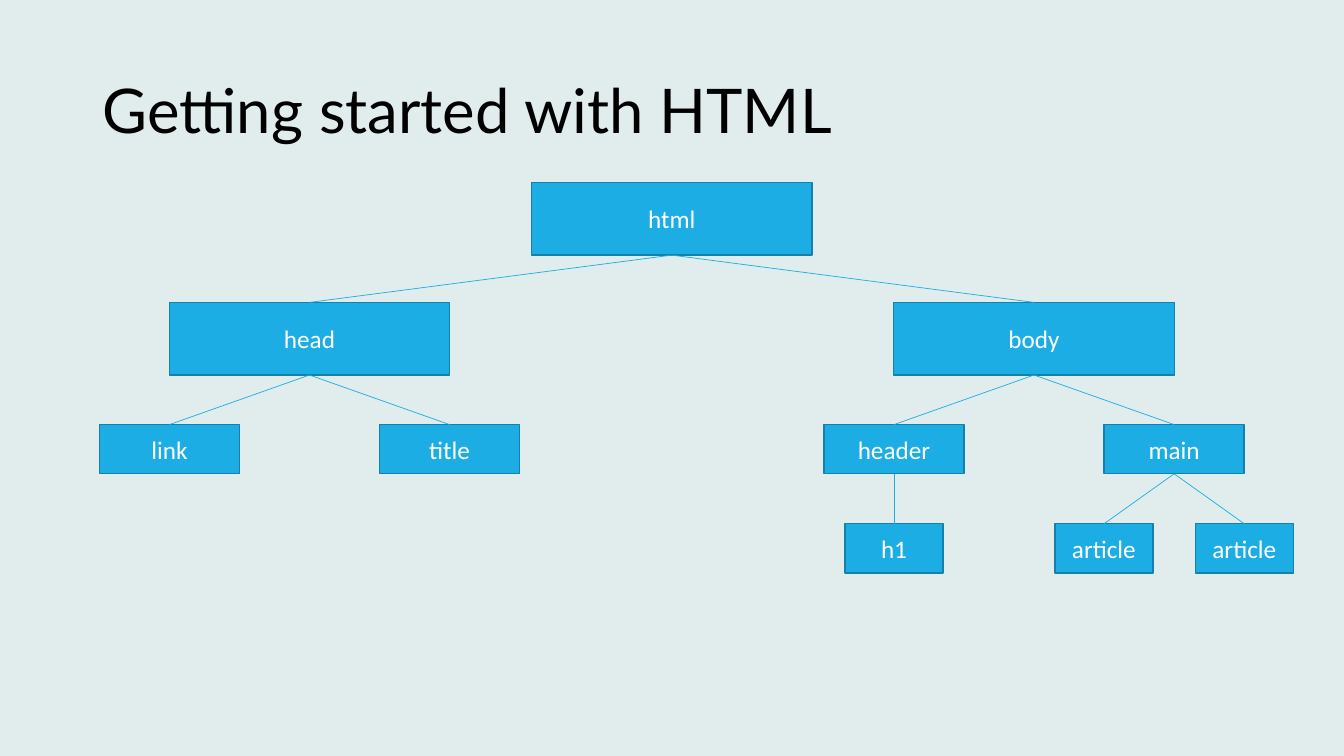
from dataclasses import dataclass

from lxml import etree
from pptx import Presentation
from pptx.dml.color import RGBColor
from pptx.enum.shapes import MSO_CONNECTOR, MSO_SHAPE
from pptx.enum.text import MSO_ANCHOR, MSO_AUTO_SIZE, PP_ALIGN
from pptx.oxml.ns import qn
from pptx.util import Cm, Pt

RECTANGLE = MSO_SHAPE.RECTANGLE
STRAIGHT = MSO_CONNECTOR.STRAIGHT
MIDDLE = MSO_ANCHOR.MIDDLE
NO_AUTOFIT = MSO_AUTO_SIZE.NONE
LEFT, CENTER = PP_ALIGN.LEFT, PP_ALIGN.CENTER
BOTTOM_SIDE, TOP_SIDE = 2, 0
TITLE_ONLY = 5


@dataclass(frozen=True)
class Theme:
    background: RGBColor = RGBColor.from_string("E0EDEC")
    ink: RGBColor = RGBColor.from_string("000000")
    accent: RGBColor = RGBColor.from_string("1CADE4")
    outline: RGBColor = RGBColor.from_string("1580A9")
    on_accent: RGBColor = RGBColor.from_string("FFFFFF")
    title_font: str = "Lato"
    node_font: str = "Calibri"
    title_size: Pt = Pt(44)
    node_size: Pt = Pt(18)
    outline_width: Pt = Pt(1)
    branch_width: Pt = Pt(0.5)


# Each tree level: top, width, height in cm
LEVELS = [
    (4.6, 7.07, 1.83),
    (7.62, 7.07, 1.83),
    (10.7, 3.53, 1.24),
    (13.2, 2.47, 1.24),
]
# Distance in cm from a parent's centre to each of its two children
SPREADS = [9.13, 3.53, 1.77]
ROOT_CENTER = 16.93

# Each element: tag, children
DOCUMENT = ("html", [
    ("head", [("link", []), ("title", [])]),
    ("body", [
        ("header", [("h1", [])]),
        ("main", [("article", []), ("article", [])]),
    ]),
])


class TreeSlide:
    def __init__(self, presentation, theme):
        self.theme = theme
        self.slide = presentation.slides.add_slide(
            presentation.slide_layouts[TITLE_ONLY])
        fill = self.slide.background.fill
        fill.solid()
        fill.fore_color.rgb = theme.background

    def label(self, shape, text, align, font_name, size, color):
        frame = shape.text_frame
        frame.word_wrap = True
        frame.auto_size = NO_AUTOFIT
        frame.vertical_anchor = MIDDLE
        paragraph = frame.paragraphs[0]
        paragraph.alignment = align
        run = paragraph.add_run()
        run.text = text
        run.font.name = font_name
        run.font.size = size
        run.font.color.rgb = color
        return paragraph

    def title(self, text):
        heading = self.slide.shapes.title
        heading.left, heading.top = Cm(2.33), Cm(1.01)
        heading.width, heading.height = Cm(29.21), Cm(3.68)
        paragraph = self.label(heading, text, LEFT, self.theme.title_font,
                               self.theme.title_size, self.theme.ink)
        paragraph.line_spacing = 0.9

    def node(self, tag, center, level):
        top, width, height = LEVELS[level]
        box = self.slide.shapes.add_shape(
            RECTANGLE, Cm(center - width / 2), Cm(top), Cm(width), Cm(height))
        box.shadow.inherit = False
        box.fill.solid()
        box.fill.fore_color.rgb = self.theme.accent
        box.line.color.rgb = self.theme.outline
        box.line.width = self.theme.outline_width
        self.label(box, tag, CENTER, self.theme.node_font,
                   self.theme.node_size, self.theme.on_accent)
        return box

    def branch(self, parent, child):
        line = self.slide.shapes.add_connector(STRAIGHT, 0, 0, 0, 0)
        line.begin_connect(parent, BOTTOM_SIDE)
        line.end_connect(child, TOP_SIDE)
        line.line.color.rgb = self.theme.accent
        line.line.width = self.theme.branch_width
        etree.SubElement(line._element.spPr, qn("a:effectLst"))

    def tree(self, element, center, level=0):
        tag, children = element
        parent = self.node(tag, center, level)
        # An only child sits under its parent, a pair to either side
        sides = (-1, 1) if len(children) == 2 else (0,)
        for side, child in zip(sides, children):
            child_center = center + side * SPREADS[level]
            self.branch(parent, self.tree(child, child_center, level + 1))
        return parent


def main():
    presentation = Presentation()
    presentation.slide_width = Cm(33.87)
    presentation.slide_height = Cm(19.05)

    # Heading and element tree
    page = TreeSlide(presentation, Theme())
    page.title("Getting started with HTML")
    page.tree(DOCUMENT, ROOT_CENTER)

    presentation.save("out.pptx")


if __name__ == "__main__":
    main()
